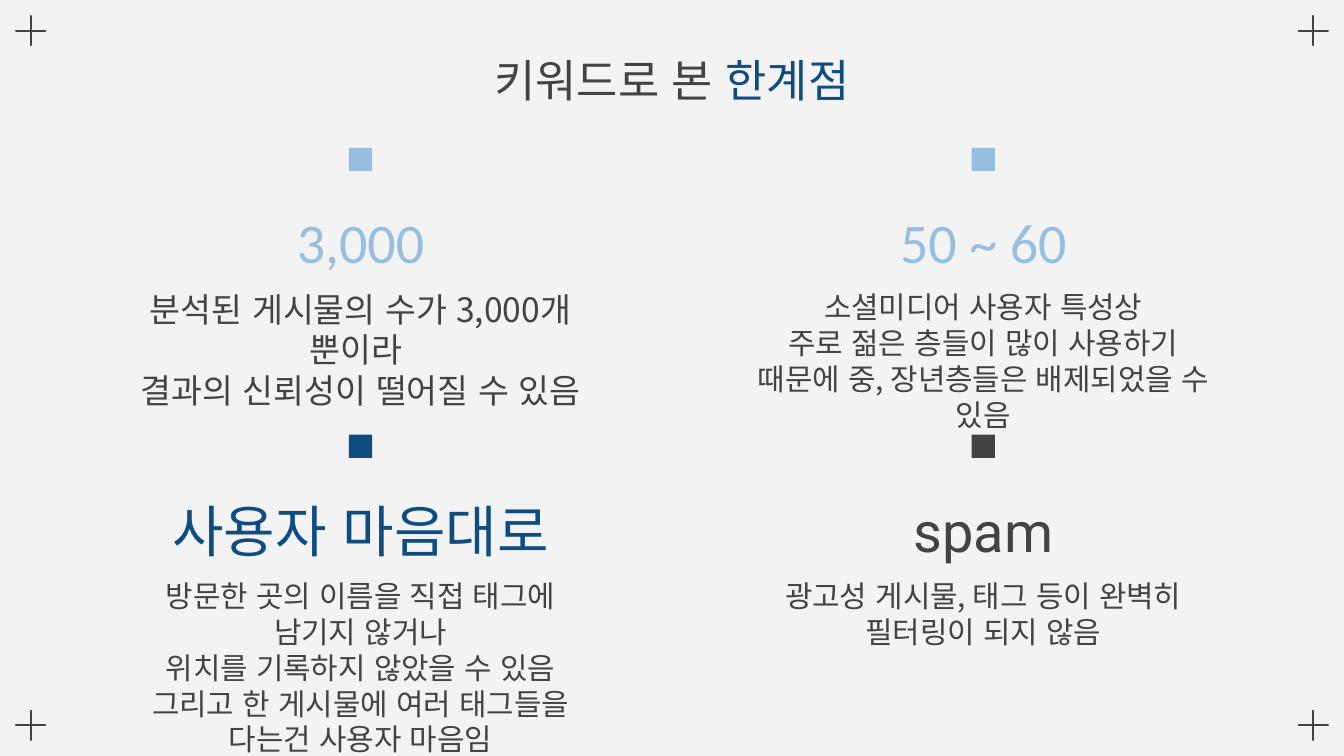
from lxml import etree
from pptx import Presentation, util as u
from pptx.dml.color import RGBColor
from pptx.enum import lang, shapes, text
from pptx.oxml import ns

PAPER = RGBColor(0xF3, 0xF3, 0xF3)
GRAY = RGBColor(0x43, 0x43, 0x43)
NAVY = RGBColor(0x0F, 0x4C, 0x81)
SKY = RGBColor(0x98, 0xBE, 0xE0)
KOREAN_FONT = "Noto Sans CJK KR"

TITLE = [("키워드로 본 ", GRAY), ("한계점", NAVY)]
# Row by row: heading, heading font, colour, body size, body paragraphs
LIMITS = [
    [
        ("3,000", "Calibri", SKY, 18,
         ["분석된 게시물의 수가 3,000개 뿐이라 ", "결과의 신뢰성이 떨어질 수 있음"]),
        ("50 ~ 60", "Calibri", SKY, 16,
         ["소셜미디어 사용자 특성상",
          "주로 젊은 층들이 많이 사용하기 때문에 중, 장년층들은 배제되었을 수 있음"]),
    ],
    [
        ("사용자 마음대로", "Roboto", NAVY, 16,
         ["방문한 곳의 이름을 직접 태그에 남기지 않거나\v위치를 기록하지 않았을 수 있음",
          "그리고 한 게시물에 여러 태그들을 다는건 사용자 마음임"]),
        ("spam", "Roboto", GRAY, 16,
         ["광고성 게시물, 태그 등이 완벽히 필터링이 되지 않음"]),
    ],
]

WIDTH, HEIGHT = 720, 405
COLUMN_OFFSET = 166.8
COLUMN_CENTERS = [WIDTH / 2 - COLUMN_OFFSET, WIDTH / 2 + COLUMN_OFFSET]
MARKER_TOPS = [79.2, 232.8]
HEADING_TOPS = [106.6, 261.4]
BODY_DROP = 41
TITLE_WIDTH, HEADING_WIDTH, BODY_WIDTH, BOX_HEIGHT = 497.6, 220.4, 271.4, 45.4
MARKER = 12.5
CROSS, CROSS_MARGIN = 21.6, 5.7

prs = Presentation()
prs.slide_width, prs.slide_height = u.Pt(WIDTH), u.Pt(HEIGHT)
slide = prs.slides.add_slide(prs.slide_layouts[6])
slide.background.fill.solid()
slide.background.fill.fore_color.rgb = PAPER


def add_text(center, top, width, paragraphs, font, size, anchor=text.MSO_ANCHOR.TOP):
    """Add a centred box; each paragraph is a list of (words, colour) runs."""
    box = slide.shapes.add_textbox(
        u.Pt(center - width / 2), u.Pt(top), u.Pt(width), u.Pt(BOX_HEIGHT))
    frame = box.text_frame
    frame_format = {"word_wrap": True, "vertical_anchor": anchor}
    for side in ("left", "top", "right", "bottom"):
        frame_format[f"margin_{side}"] = u.Pt(7.2)
    for name, value in frame_format.items():
        setattr(frame, name, value)
    for index, runs in enumerate(paragraphs):
        paragraph = frame.add_paragraph() if index else frame.paragraphs[0]
        paragraph.alignment = text.PP_ALIGN.CENTER
        for words, color in runs:
            for line_index, line in enumerate(words.split("\v")):
                if line_index:
                    paragraph.add_line_break()
                run = paragraph.add_run()
                run.text = line
                font_format = {"name": font, "size": u.Pt(size),
                               "language_id": lang.MSO_LANGUAGE_ID.KOREAN}
                for name, value in font_format.items():
                    setattr(run.font, name, value)
                run.font.color.rgb = color
                east_asian = etree.SubElement(run._r.get_or_add_rPr(), ns.qn("a:ea"))
                east_asian.set("typeface", KOREAN_FONT)


def add_mark(kind, left, top, size):
    mark = slide.shapes.add_shape(kind, u.Pt(left), u.Pt(top), u.Pt(size), u.Pt(size))
    mark.shadow.inherit = False
    return mark


for top in (CROSS_MARGIN, HEIGHT - CROSS_MARGIN - CROSS):
    for left in (CROSS_MARGIN, WIDTH - CROSS_MARGIN - CROSS):
        cross = add_mark(shapes.MSO_SHAPE.MATH_PLUS, left, top, CROSS)
        cross.adjustments[0] = 0.007
        cross.fill.background()
        cross.line.color.rgb = GRAY
        cross.line.width = u.Pt(0.75)

add_text(WIDTH / 2, 20.9, TITLE_WIDTH, [TITLE], "Roboto", 24)

for row, marker_top, heading_top in zip(LIMITS, MARKER_TOPS, HEADING_TOPS):
    for limit, center in zip(row, COLUMN_CENTERS):
        heading, heading_font, color, body_size, body = limit
        marker = add_mark(shapes.MSO_SHAPE.RECTANGLE, center - MARKER / 2, marker_top, MARKER)
        marker.fill.solid()
        marker.fill.fore_color.rgb = color
        marker.line.fill.background()
        add_text(center, heading_top, HEADING_WIDTH, [[(heading, color)]],
                 heading_font, 30, text.MSO_ANCHOR.MIDDLE)
        add_text(center, heading_top + BODY_DROP, BODY_WIDTH,
                 [[(line, GRAY)] for line in body], KOREAN_FONT, body_size)

prs.save("out.pptx")
